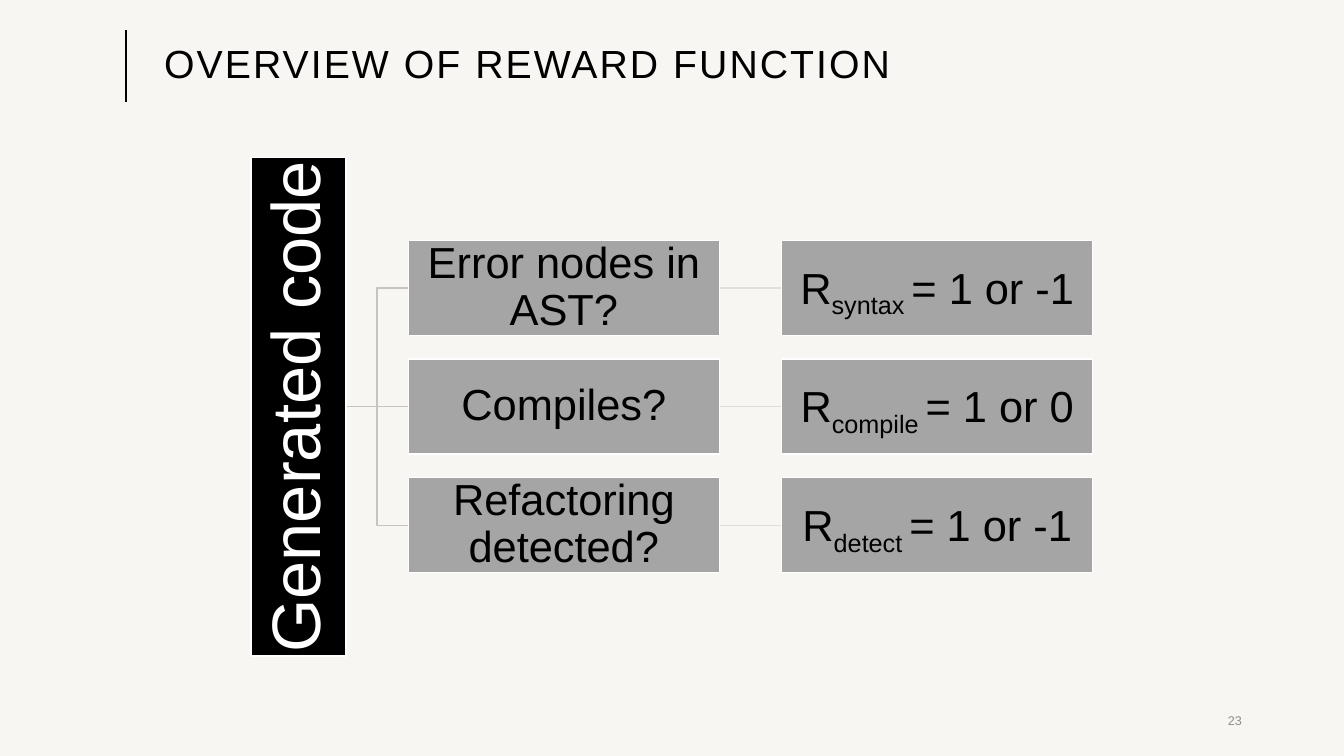
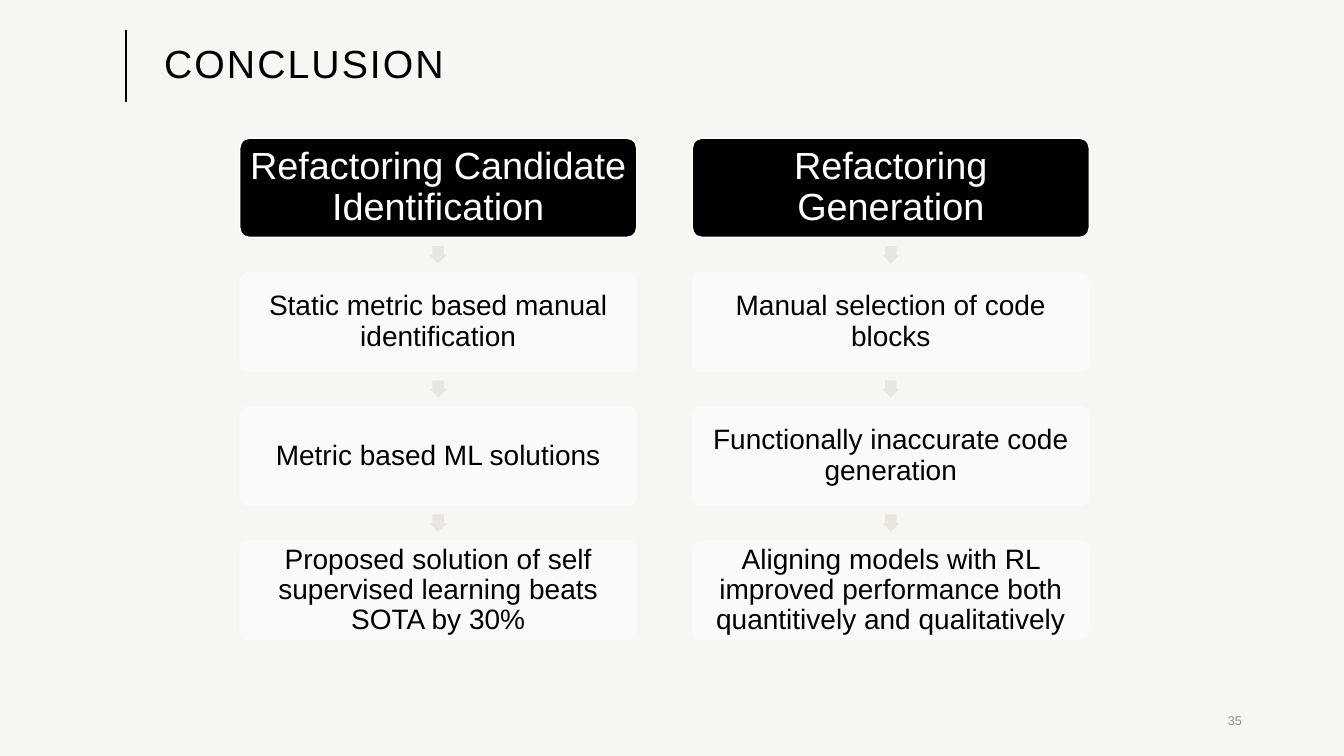
import pptx
import pptx.dml.color
import pptx.enum.shapes
import pptx.enum.text
import pptx.oxml.ns
import pptx.util
from lxml import etree

Pt = pptx.util.Pt
SHAPES = pptx.enum.shapes.MSO_SHAPE
LINES = pptx.enum.shapes.MSO_CONNECTOR
ALIGN = pptx.enum.text.PP_ALIGN

# Content
REWARD_TITLE, REWARD_NUMBER = "OVERVIEW OF REWARD FUNCTION", "23"
REWARD_SOURCE = "Generated code"
# check, subscript of the reward, its values
REWARDS = [
    ("Error nodes in AST?", "syntax ", "= 1 or -1"),
    ("Compiles?", "compile ", "= 1 or 0"),
    ("Refactoring detected?", "detect ", "= 1 or -1"),
]

CONCLUSION_TITLE, CONCLUSION_NUMBER = "CONCLUSION", "35"
CONCLUSIONS = {
    "Refactoring Candidate Identification": [
        "Static metric based manual identification",
        "Metric based ML solutions",
        "Proposed solution of self supervised learning beats SOTA by 30%",
    ],
    "Refactoring Generation": [
        "Manual selection of code blocks",
        "Functionally inaccurate code generation",
        "Aligning models with RL improved performance both quantitively and qualitatively",
    ],
}

# Shared look
BACKGROUND, BLACK, WHITE = "F7F6F3", "000000", "FFFFFF"
NUMBER_GREY, BOX_GREY = "8C8C8C", "A5A5A5"
BRANCH, LINK = "C9C3BF", "E4DDD9"
CARD, ARROW = "FDFBF9", "E9E6DF"
FONT = "Arial"
TITLE_STYLE = {"size": 28, "color": BLACK, "spc": 150}
NUMBER_STYLE = {"size": 9, "color": NUMBER_GREY}
SOURCE_STYLE = {"size": 49, "color": WHITE}
BOX_STYLE = {"size": 31, "color": BLACK}
HEADER_STYLE = {"size": 27, "color": WHITE}
CARD_STYLE = {"size": 20, "color": BLACK}


def rgb(color):
    return pptx.dml.color.RGBColor.from_string(color)


def write(shape, runs, style, align=ALIGN.CENTER, inset=None, line_spacing=0.9):
    """Fill a shape with one paragraph; runs are (text, baseline) pairs."""
    frame = shape.text_frame
    settings = {"word_wrap": True, "vertical_anchor": pptx.enum.text.MSO_ANCHOR.MIDDLE}
    if inset is not None:
        for side in ("left", "top", "right", "bottom"):
            settings[f"margin_{side}"] = Pt(inset)
    for name, value in settings.items():
        setattr(frame, name, value)
    paragraph = frame.paragraphs[0]
    paragraph.alignment, paragraph.line_spacing = align, line_spacing
    for text, baseline in runs:
        run = paragraph.add_run()
        run.text = text
        for name, value in {"name": FONT, "size": Pt(style["size"])}.items():
            setattr(run.font, name, value)
        run.font.color.rgb = rgb(style["color"])
        properties = run._r.get_or_add_rPr()
        for name, value in {"spc": style.get("spc"), "baseline": baseline}.items():
            if value:
                properties.set(name, str(value))


def add_text(slide, box, text, style, **layout):
    write(slide.shapes.add_textbox(*map(Pt, box)), [(text, 0)], style, **layout)


def add_block(slide, kind, box, fill, line=None, opacity=None):
    shape = slide.shapes.add_shape(kind, *map(Pt, box))
    shape.shadow.inherit = False
    shape.fill.solid()
    shape.fill.fore_color.rgb = rgb(fill)
    if line:
        shape.line.color.rgb = rgb(line)
        shape.line.width = Pt(1)
    else:
        shape.line.fill.background()
    if opacity:
        tag = pptx.oxml.ns.qn("a:srgbClr")
        for color in shape._element.spPr.iter(tag):
            alpha = etree.SubElement(color, pptx.oxml.ns.qn("a:alpha"))
            alpha.set("val", str(opacity * 1000))
    return shape


def add_line(slide, start, end, color, width=1):
    kind = LINES.STRAIGHT if start[0] == end[0] or start[1] == end[1] else LINES.ELBOW
    connector = slide.shapes.add_connector(kind, *map(Pt, (*start, *end)))
    connector.line.color.rgb = rgb(color)
    connector.line.width = Pt(width)
    etree.SubElement(connector._element.spPr, pptx.oxml.ns.qn("a:effectLst"))


def add_slide(presentation, title, number):
    """Blank slide with the shared background, rule, title and number."""
    slide = presentation.slides.add_slide(presentation.slide_layouts[6])
    slide.background.fill.solid()
    slide.background.fill.fore_color.rgb = rgb(BACKGROUND)
    add_line(slide, (90, 72.6), (90, 21.2), BLACK, 1.5)
    add_text(slide, (110.2, 21.2, 784, 51.4), title, TITLE_STYLE, align=ALIGN.LEFT)
    add_text(slide, (678.2, 500.4, 216, 28.8), number, NUMBER_STYLE,
             align=ALIGN.RIGHT, line_spacing=1)
    return slide


def build_rewards(presentation):
    slide = add_slide(presentation, REWARD_TITLE, REWARD_NUMBER)
    width, height, gap = 222.3, 67.8, 44.4
    middle, pitch = 290.5, 84.7
    bar_length, bar_right = 356.4, 247.2
    check_left = bar_right + gap
    reward_left = check_left + width + gap
    centers = [middle + pitch * (row - 1) for row in range(len(REWARDS))]

    # Lines lie behind the boxes
    for center in centers:
        add_line(slide, (reward_left - gap, center), (reward_left, center), LINK)
        add_line(slide, (bar_right, middle), (check_left, center), BRANCH)

    # Bar turned to read upwards
    bar_box = (bar_right - height / 2 - bar_length / 2, middle - height / 2,
               bar_length, height)
    bar = add_block(slide, SHAPES.RECTANGLE, bar_box, BLACK, WHITE)
    bar.rotation = 270
    write(bar, [(REWARD_SOURCE, 0)], SOURCE_STYLE, inset=2)

    # One check and one reward in each row
    for center, (check, subscript, values) in zip(centers, REWARDS):
        reward = [("R", 0), (subscript, -25000), (values, 0)]
        for left, runs in ((check_left, [(check, 0)]), (reward_left, reward)):
            box = (left, center - height / 2, width, height)
            block = add_block(slide, SHAPES.RECTANGLE, box, BOX_GREY, WHITE)
            write(block, runs, BOX_STYLE, inset=1.5)


def build_conclusion(presentation):
    slide = add_slide(presentation, CONCLUSION_TITLE, CONCLUSION_NUMBER)
    left, top, width, height = 171.2, 98.7, 283.6, 70.9
    column_pitch, row_pitch, arrow_size = 323.3, 95.8, 12.4
    for column, (header, points) in enumerate(CONCLUSIONS.items()):
        x = left + column * column_pitch
        for row, text in enumerate([header, *points]):
            y = top + row * row_pitch
            box = (x, y, width, height)
            if row == 0:
                block = add_block(slide, SHAPES.ROUNDED_RECTANGLE, box, BLACK, WHITE)
                write(block, [(text, 0)], HEADER_STYLE, inset=2.7)
            else:
                # Arrow centred in the gap above the card
                gap_middle = y - (row_pitch - height) / 2
                arrow_box = (x + (width - arrow_size) / 2, gap_middle - arrow_size / 2,
                             arrow_size, arrow_size)
                arrow = add_block(slide, SHAPES.DOWN_ARROW, arrow_box, ARROW)
                arrow.adjustments[0] = 0.67
                block = add_block(slide, SHAPES.ROUNDED_RECTANGLE, box, CARD, CARD, 90)
                write(block, [(text, 0)], CARD_STYLE, inset=2)
            block.adjustments[0] = 0.1


def main():
    presentation = pptx.Presentation()
    presentation.slide_width, presentation.slide_height = Pt(960), Pt(540)
    build_rewards(presentation)
    build_conclusion(presentation)
    presentation.save("out.pptx")


if __name__ == "__main__":
    main()
